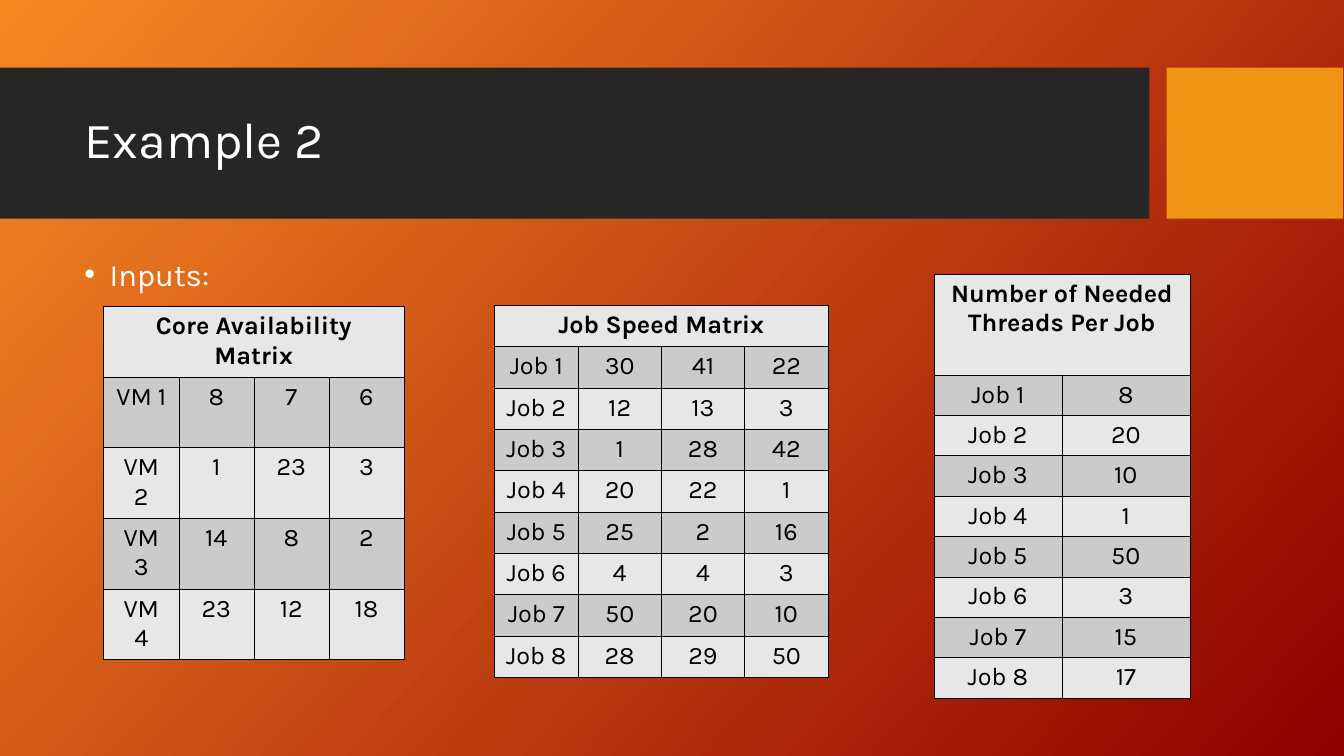
from lxml import etree
from pptx import Presentation
from pptx import util as u
from pptx.dml.color import RGBColor
from pptx.enum import shapes, text
from pptx.oxml import ns

WHITE = RGBColor(0xFF, 0xFF, 0xFF)
BLACK = RGBColor(0, 0, 0)
CHARCOAL = RGBColor(0x26, 0x26, 0x26)
AMBER = RGBColor(0xF0, 0x94, 0x15)
ORANGE = RGBColor(0xF7, 0x89, 0x25)
DARK_RED = RGBColor(0x8D, 0, 0)
LIGHT_GREY = RGBColor(0xE7, 0xE7, 0xE7)
MID_GREY = RGBColor(0xCB, 0xCB, 0xCB)

CORES = [(8, 7, 6), (1, 23, 3), (14, 8, 2), (23, 12, 18)]
SPEEDS = [(30, 41, 22), (12, 13, 3), (1, 28, 42), (20, 22, 1),
          (25, 2, 16), (4, 4, 3), (50, 20, 10), (28, 29, 50)]
THREADS = [(8,), (20,), (10,), (1,), (50,), (3,), (15,), (17,)]


def set_all(target, values):
    for name, value in values.items():
        setattr(target, name, value)


class ExampleSlide:
    font = "Karla"
    border_width = u.Pt(0.45)

    def __init__(self, deck):
        self.page = deck.slides.add_slide(deck.slide_layouts[6])

    def background(self, start, end, angle):
        fill = self.page.background.fill
        fill.gradient()
        fill.gradient_angle = 360 - angle
        for stop, color, position in zip(fill.gradient_stops, (start, end), (0, 1)):
            stop.position = position
            stop.color.rgb = color

    def block(self, left, top, width, height, color):
        box = self.page.shapes.add_shape(
            shapes.MSO_SHAPE.RECTANGLE, *map(u.Inches, (left, top, width, height)))
        box.shadow.inherit = False
        box.fill.solid()
        box.fill.fore_color.rgb = color
        box.line.fill.background()

    def add_words(self, para, words, size, color, bold=False):
        span = para.add_run()
        span.text = words
        set_all(span.font, {"name": self.font, "size": u.Pt(size), "bold": bold})
        span.font.color.rgb = color

    def label(self, left, top, width, height, words, size, anchor, spacing):
        box = self.page.shapes.add_textbox(*map(u.Inches, (left, top, width, height)))
        set_all(box.text_frame, {"word_wrap": True, "vertical_anchor": anchor})
        para = box.text_frame.paragraphs[0]
        para.line_spacing = spacing
        self.add_words(para, words, size, WHITE)
        return para

    def bullet(self, para, indent):
        props = para._p.get_or_add_pPr()
        props.set("marL", str(u.Inches(indent)))
        props.set("indent", str(-u.Inches(indent)))
        color = etree.SubElement(props, ns.qn("a:buClr"))
        etree.SubElement(color, ns.qn("a:srgbClr"), val=str(WHITE))
        etree.SubElement(props, ns.qn("a:buFont"), typeface="Arial")
        etree.SubElement(props, ns.qn("a:buChar"), char="•")

    def borders(self, cell):
        props = cell._tc.get_or_add_tcPr()
        for place, side in enumerate(("lnL", "lnR", "lnT", "lnB")):
            line = etree.Element(ns.qn("a:" + side), w=str(self.border_width))
            fill = etree.SubElement(line, ns.qn("a:solidFill"))
            etree.SubElement(fill, ns.qn("a:srgbClr"), val=str(BLACK))
            props.insert(place, line)

    def matrix(self, left, top, width, heading, prefix, values, head_height, row_height):
        rows = [(heading,)] + [(f"{prefix} {number}", *row)
                               for number, row in enumerate(values, 1)]
        columns = len(rows[1])
        height = head_height + row_height * len(values)
        table = self.page.shapes.add_table(
            len(rows), columns, *map(u.Inches, (left, top, width, height))).table
        set_all(table, {"first_row": False, "horz_banding": False})
        for column in table.columns:
            column.width = u.Inches(width / columns)
        table.cell(0, 0).merge(table.cell(0, columns - 1))
        for r, row in enumerate(rows):
            table.rows[r].height = u.Inches(row_height if r else head_height)
            for c in range(columns):
                cell = table.cell(r, c)
                cell.fill.solid()
                cell.fill.fore_color.rgb = MID_GREY if r % 2 else LIGHT_GREY
                self.borders(cell)
                if c < len(row):
                    para = cell.text_frame.paragraphs[0]
                    para.alignment = text.PP_ALIGN.CENTER
                    self.add_words(para, str(row[c]), 18, BLACK, bold=r == 0)


def main():
    deck = Presentation()
    set_all(deck, {"slide_width": u.Inches(13.34), "slide_height": u.Inches(7.5)})
    slide = ExampleSlide(deck)
    slide.background(ORANGE, DARK_RED, 42)
    slide.block(0, 0.67, 11.41, 1.5, CHARCOAL)
    slide.block(11.58, 0.67, 1.75, 1.5, AMBER)
    slide.label(0.74, 0.82, 10.51, 1.18, "Example 2", 36, text.MSO_ANCHOR.MIDDLE, 0.9)
    inputs = slide.label(0.74, 2.56, 10.51, 0.42, "Inputs:", 22.2, text.MSO_ANCHOR.TOP, 0.8)
    inputs.space_before = u.Pt(10)
    slide.bullet(inputs, 0.25)
    slide.matrix(1.03, 3.04, 2.98, "Core Availability Matrix", "VM", CORES, 0.7, 0.7)
    slide.matrix(4.91, 3.03, 3.31, "Job Speed Matrix", "Job", SPEEDS, 0.41, 0.41)
    slide.matrix(9.27, 2.72, 2.54, "Number of Needed Threads Per Job", "Job", THREADS, 1, 0.4)
    deck.save("out.pptx")


if __name__ == "__main__":
    main()
